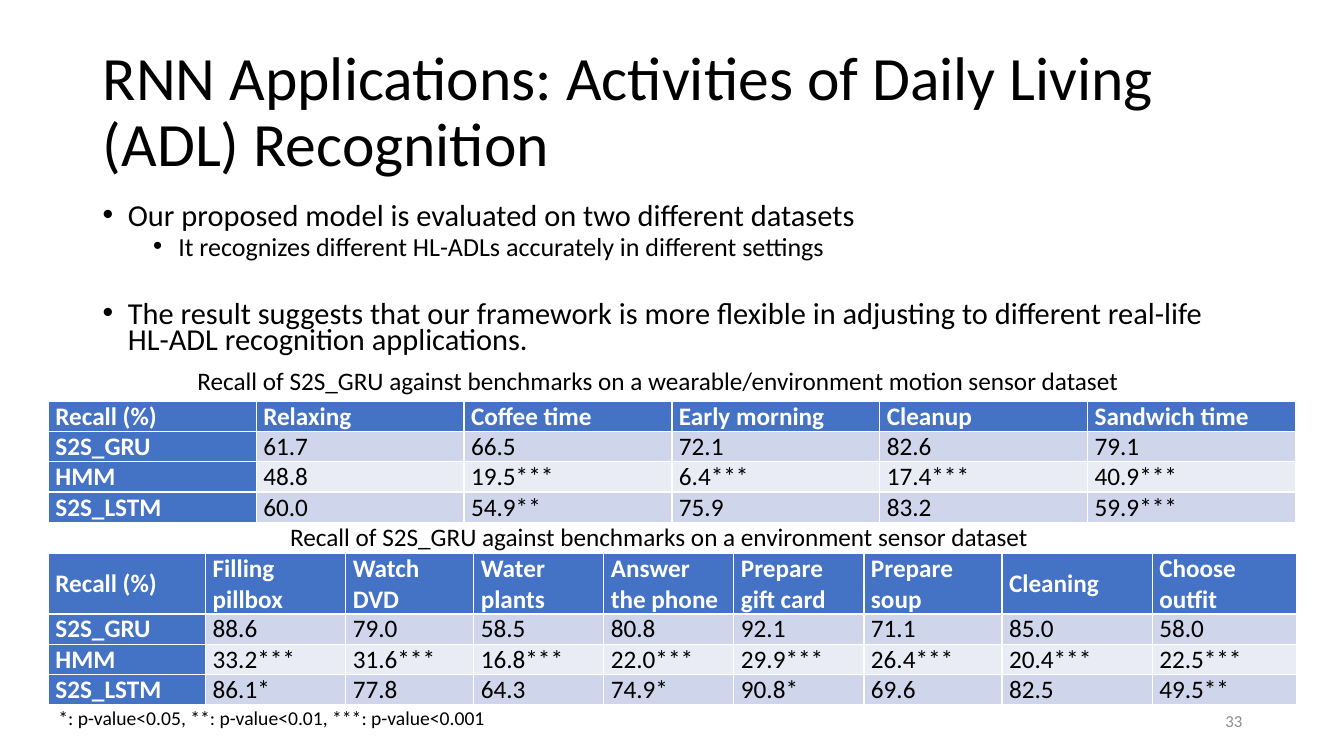
import pptx
import pptx.dml.color
import pptx.enum.text
import pptx.oxml.ns
import pptx.util
from lxml import etree

Inches = pptx.util.Inches
Pt = pptx.util.Pt
RGBColor = pptx.dml.color.RGBColor
MSO_ANCHOR = pptx.enum.text.MSO_ANCHOR
PP_ALIGN = pptx.enum.text.PP_ALIGN

BLACK = RGBColor(0x00, 0x00, 0x00)
WHITE = RGBColor(0xFF, 0xFF, 0xFF)
GREY = RGBColor(0x8C, 0x8C, 0x8C)
BLUE = RGBColor(0x44, 0x72, 0xC4)
BANDS = (RGBColor(0xCF, 0xD5, 0xEA), RGBColor(0xE9, 0xEB, 0xF5))
FONT = "Calibri"

TITLE = "RNN Applications: Activities of Daily Living (ADL) Recognition"

# text, level, size, space before (points)
POINTS = [
    ("Our proposed model is evaluated on two different datasets", 0, 21.7, 10),
    ("It recognizes different HL-ADLs accurately in different settings", 1, 18.6, 5),
    ("The result suggests that our framework is more flexible in adjusting to "
     "different real-life HL-ADL recognition applications.", 0, 21.7, 31),
]

MOTION_RECALL = [
    ("Recall (%)", "Relaxing", "Coffee time", "Early morning", "Cleanup", "Sandwich time"),
    ("S2S_GRU", "61.7", "66.5", "72.1", "82.6", "79.1"),
    ("HMM", "48.8", "19.5***", "6.4***", "17.4***", "40.9***"),
    ("S2S_LSTM", "60.0", "54.9**", "75.9", "83.2", "59.9***"),
]
ENVIRONMENT_RECALL = [
    ("Recall (%)", "Filling pillbox", "Watch DVD", "Water plants", "Answer the phone",
     "Prepare gift card", "Prepare soup", "Cleaning", "Choose outfit"),
    ("S2S_GRU", "88.6", "79.0", "58.5", "80.8", "92.1", "71.1", "85.0", "58.0"),
    ("HMM", "33.2***", "31.6***", "16.8***", "22.0***", "29.9***", "26.4***",
     "20.4***", "22.5***"),
    ("S2S_LSTM", "86.1*", "77.8", "64.3", "74.9*", "90.8*", "69.6", "82.5", "49.5**"),
]
TABLE_LEFT, TABLE_WIDTH, ROW_HEIGHT = 0.48, 12.37, 0.3

# rows, top, column widths, header height
TABLES = [
    (MOTION_RECALL, 3.98, [TABLE_WIDTH / 6] * 6, ROW_HEIGHT),
    (ENVIRONMENT_RECALL, 5.49,
     [1.56, 1.39, 1.27, 1.29, 1.29, 1.29, 1.37, 1.49, 1.43], 2 * ROW_HEIGHT),
]

# text, (left, top, width, height), size, colour, alignment, anchor, wrap
LABELS = [
    ("Recall of S2S_GRU against benchmarks on a wearable/environment motion sensor dataset",
     (1.86, 3.58, 9.44, 0.4), 18, BLACK, PP_ALIGN.LEFT, MSO_ANCHOR.TOP, False),
    ("Recall of S2S_GRU against benchmarks on a environment sensor dataset",
     (2.78, 5.12, 7.6, 0.4), 18, BLACK, PP_ALIGN.LEFT, MSO_ANCHOR.TOP, False),
    ("*: p-value<0.05, **: p-value<0.01, ***: p-value<0.001",
     (0.48, 6.95, 4.48, 0.34), 14, BLACK, PP_ALIGN.LEFT, MSO_ANCHOR.TOP, False),
    ("33", (9.42, 6.95, 3, 0.4), 12, GREY, PP_ALIGN.RIGHT, MSO_ANCHOR.MIDDLE, True),
]


def add_run(paragraph, text, size, color, bold=False):
    run = paragraph.add_run()
    run.text = text
    run.font.name = FONT
    run.font.size = Pt(size)
    run.font.bold = bold
    run.font.color.rgb = color


def add_bullet(paragraph, level):
    properties = paragraph._p.get_or_add_pPr()
    properties.set("marL", str(Inches(0.25 + 0.5 * level)))
    properties.set("indent", str(Inches(-0.25)))
    font = etree.SubElement(properties, pptx.oxml.ns.qn("a:buFont"))
    font.set("typeface", "Arial")
    bullet = etree.SubElement(properties, pptx.oxml.ns.qn("a:buChar"))
    bullet.set("char", "•")


def add_title(slide):
    title = slide.shapes.title
    title.left, title.top = Inches(0.92), Inches(0.4)
    title.width, title.height = Inches(11.5), Inches(1.45)
    title.text_frame.vertical_anchor = MSO_ANCHOR.MIDDLE
    paragraph = title.text_frame.paragraphs[0]
    paragraph.alignment = PP_ALIGN.LEFT
    paragraph.line_spacing = 0.9
    add_run(paragraph, TITLE, 44, BLACK)


def add_points(slide):
    body = slide.shapes.add_textbox(Inches(0.92), Inches(2), Inches(11.5), Inches(1.63))
    frame = body.text_frame
    frame.word_wrap = True
    for index, (text, level, size, space) in enumerate(POINTS):
        paragraph = frame.add_paragraph() if index else frame.paragraphs[0]
        paragraph.level = level
        paragraph.line_spacing = 0.7
        paragraph.space_before = Pt(space)
        add_bullet(paragraph, level)
        add_run(paragraph, text, size, BLACK)


def add_label(slide, text, box, size, color, alignment, anchor, wrap):
    frame = slide.shapes.add_textbox(*map(Inches, box)).text_frame
    frame.word_wrap = wrap
    frame.vertical_anchor = anchor
    frame.paragraphs[0].alignment = alignment
    add_run(frame.paragraphs[0], text, size, color)


def add_recall_table(slide, rows, top, widths, header_height):
    heights = [header_height] + [ROW_HEIGHT] * (len(rows) - 1)
    table = slide.shapes.add_table(
        len(rows), len(widths), Inches(TABLE_LEFT), Inches(top),
        Inches(TABLE_WIDTH), Inches(sum(heights))).table
    table.first_col = True
    for column, width in zip(table.columns, widths):
        column.width = Inches(width)
    for r, (values, height) in enumerate(zip(rows, heights)):
        table.rows[r].height = Inches(height)
        for c, value in enumerate(values):
            is_heading = r == 0 or c == 0
            cell = table.cell(r, c)
            cell.margin_left = cell.margin_right = Inches(0.07)
            cell.margin_top = cell.margin_bottom = 0
            cell.vertical_anchor = MSO_ANCHOR.MIDDLE
            cell.fill.solid()
            cell.fill.fore_color.rgb = BLUE if is_heading else BANDS[(r - 1) % 2]
            add_run(cell.text_frame.paragraphs[0], value, 18,
                    WHITE if is_heading else BLACK, is_heading)


def main():
    deck = pptx.Presentation()
    deck.slide_width, deck.slide_height = Inches(13.33), Inches(7.5)
    slide = deck.slides.add_slide(deck.slide_layouts[5])
    add_title(slide)
    add_points(slide)
    for recall in reversed(TABLES):
        add_recall_table(slide, *recall)
    for label in LABELS:
        add_label(slide, *label)
    deck.save("out.pptx")


if __name__ == "__main__":
    main()
